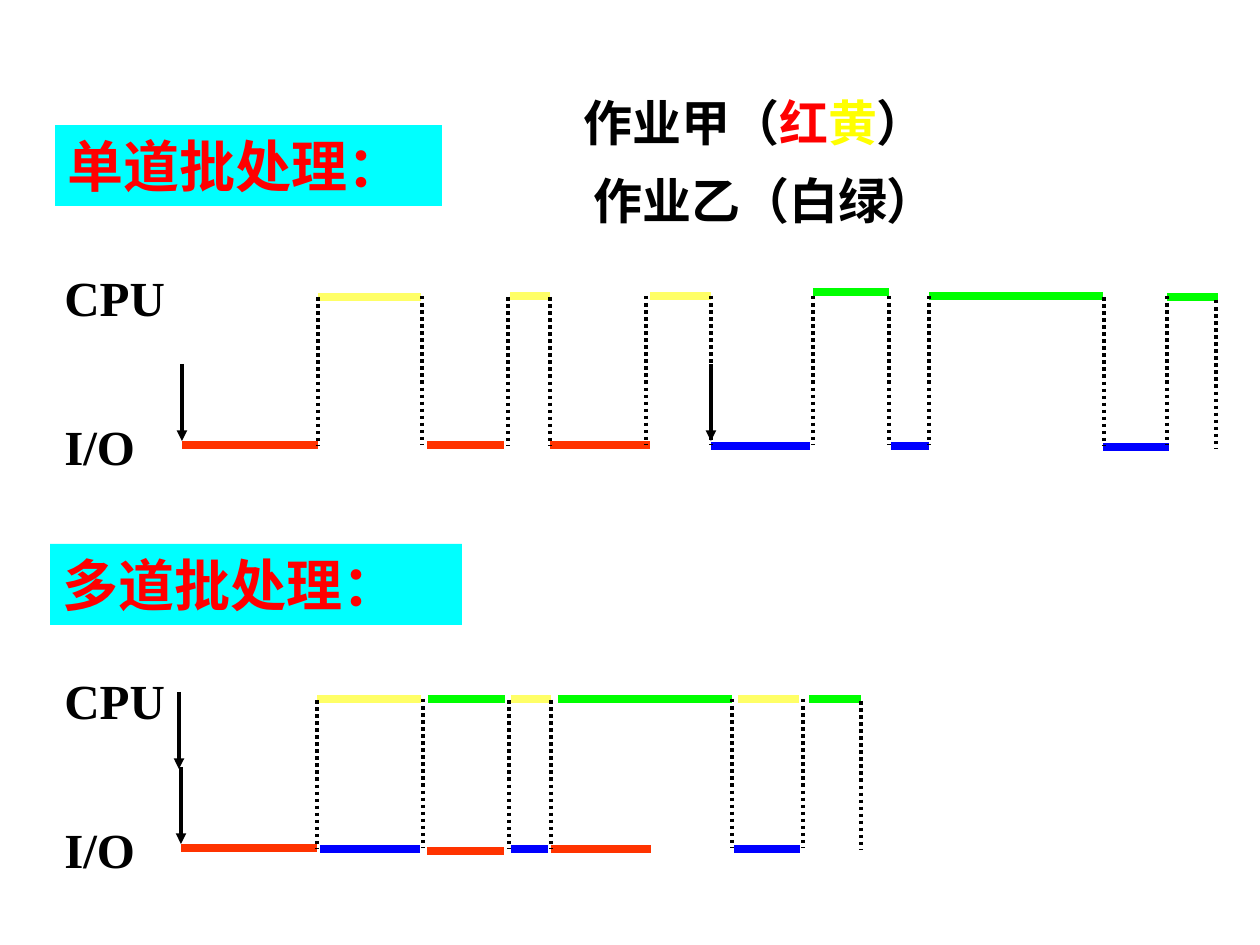
from pptx import Presentation
from pptx.dml.color import RGBColor
from pptx.enum.dml import MSO_LINE_DASH_STYLE as DASH
from pptx.enum.shapes import MSO_CONNECTOR, MSO_SHAPE
from pptx.enum.text import MSO_ANCHOR, MSO_AUTO_SIZE
from pptx.oxml.ns import qn
from pptx.util import Pt
from lxml import etree

PX = 914400 / 126
RED, YELLOW, BLUE, GREEN = "FF3300", "FFFF66", "0000FF", "00FF00"
BLACK = "000000"

prs = Presentation()
prs.slide_width, prs.slide_height = round(1260 * PX), round(945 * PX)
slide = prs.slides.add_slide(prs.slide_layouts[6])


def add_label(x, y, w, h, runs, size, fill=None):
    box = [round(v * PX) for v in (x, y, w, h)]
    if fill:
        sp = slide.shapes.add_shape(MSO_SHAPE.RECTANGLE, *box)
        sp.shadow.inherit = False
        sp.fill.solid()
        sp.fill.fore_color.rgb = RGBColor.from_string(fill)
        sp.line.fill.background()
    else:
        sp = slide.shapes.add_textbox(*box)
    tf = sp.text_frame
    tf.word_wrap = True
    tf.auto_size = MSO_AUTO_SIZE.SHAPE_TO_FIT_TEXT
    tf.vertical_anchor = MSO_ANCHOR.TOP
    p = tf.paragraphs[0]
    p.alignment = 1  # left
    if not fill:
        p.space_before = Pt(17.5)
    for text, color in runs:
        r = p.add_run()
        r.text = text
        r.font.name = "Times New Roman"
        r.font.size = Pt(size)
        r.font.bold = True
        r.font.color.rgb = RGBColor.from_string(color)


def add_line(x1, y1, x2, y2, color=BLACK, width=2, dash=None, arrow=False):
    ends = [round(v * PX) for v in (x1, y1, x2, y2)]
    ln = slide.shapes.add_connector(MSO_CONNECTOR.STRAIGHT, *ends)
    ln.line.color.rgb = RGBColor.from_string(color)
    ln.line.width = Pt(width)
    if dash:
        ln.line.dash_style = dash
    if arrow:
        etree.SubElement(ln.line._get_or_add_ln(), qn("a:tailEnd"), type="triangle")
    etree.SubElement(ln._element.spPr, qn("a:effectLst"))


# Headings and legend
add_label(55, 125, 387, 81, [("单道批处理:".replace(":", "："), "FF0000")], 32, "00FFFF")
add_label(50, 544, 412, 81, [("多道批处理:".replace(":", "："), "FF0000")], 32, "00FFFF")
add_label(571, 86, 370, 72, [("作业甲（", BLACK), ("红", "FF0000"),
                             ("黄", "FFFF00"), ("）", BLACK)], 28)
add_label(581, 164, 370, 72, [("作业乙（白绿）", BLACK)], 28)

# Each timeline: CPU label top, dotted x positions with their top,
# bars (x1, x2, y, color), arrows (x, top)
timelines = [
    (261,
     [(318, 297), (422, 296), (508, 297), (550, 297), (646, 296), (711, 296),
      (813, 296), (889, 296), (929, 296), (1104, 297), (1167, 296), (1216, 300)],
     [(182, 318, 445, RED), (318, 421, 297, YELLOW), (427, 504, 445, RED),
      (510, 550, 296, YELLOW), (550, 650, 445, RED), (650, 711, 296, YELLOW),
      (711, 810, 446, BLUE), (813, 889, 292, GREEN), (891, 929, 446, BLUE),
      (929, 1103, 296, GREEN), (1103, 1169, 447, BLUE), (1167, 1218, 297, GREEN)],
     [(182, 364), (711, 364)]),
    (664,
     [(317, 700), (423, 699), (509, 700), (551, 700), (732, 699), (803, 699),
      (861, 701)],
     [(181, 317, 848, RED), (317, 421, 699, YELLOW), (320, 420, 849, BLUE),
      (427, 504, 851, RED), (428, 505, 699, GREEN), (511, 548, 849, BLUE),
      (511, 551, 699, YELLOW), (551, 651, 849, RED), (558, 732, 699, GREEN),
      (734, 800, 849, BLUE), (738, 799, 699, YELLOW), (809, 861, 699, GREEN)],
     [(181, 767), (179, 692)]),
]
for top, dots, bars, arrows in timelines:
    add_label(52, top, 126, 72, [("CPU", BLACK)], 28)
    add_label(52, top + 149, 96, 72, [("I/O", BLACK)], 28)
    for x1, x2, y, color in bars:
        add_line(x1, y, x2, y, color, 5)
    for x, y in dots:
        add_line(x, y, x, y + 149, dash=DASH.ROUND_DOT)
    for x, y in arrows:
        add_line(x, y, x, y + 77, arrow=True)

prs.save("out.pptx")
